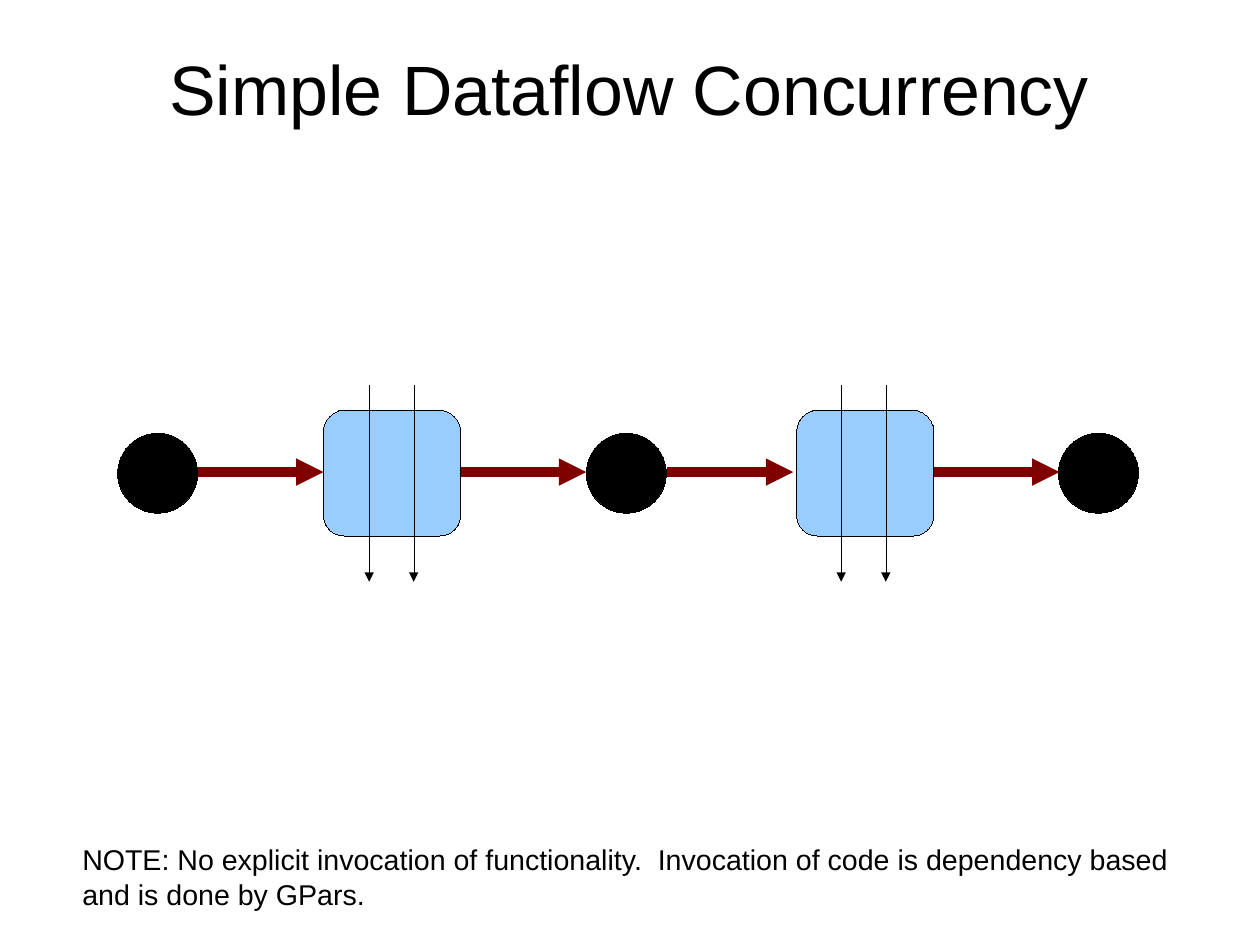
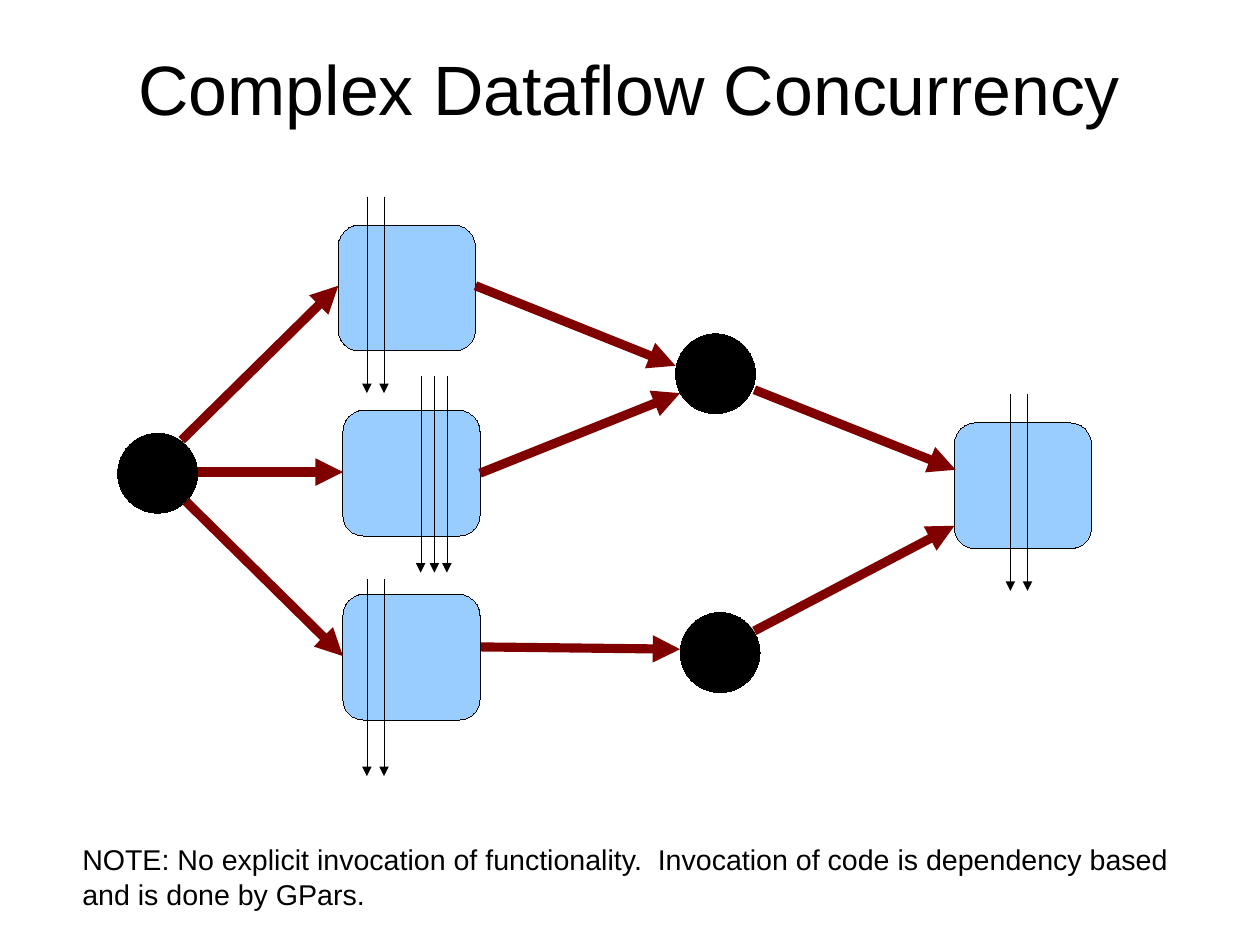
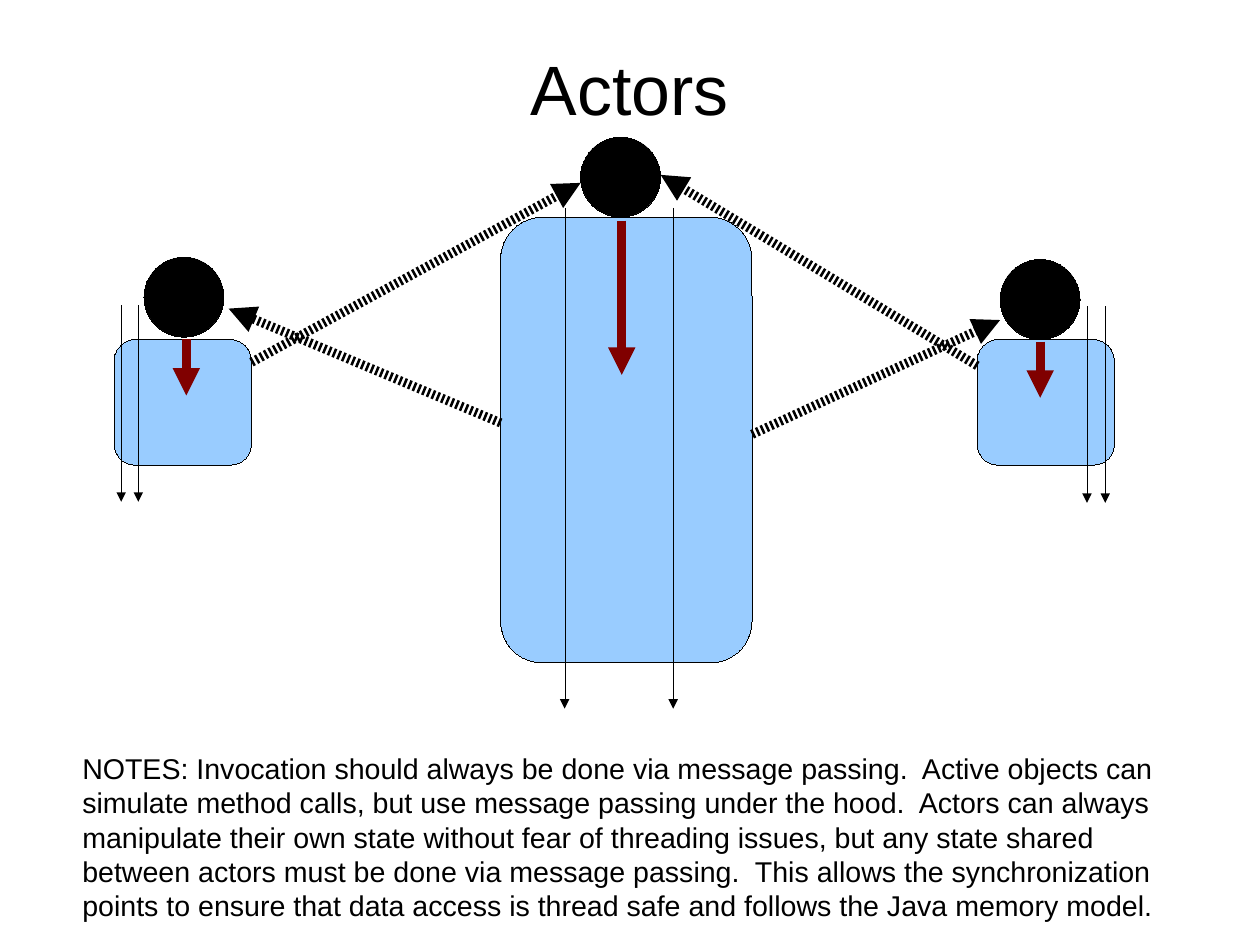
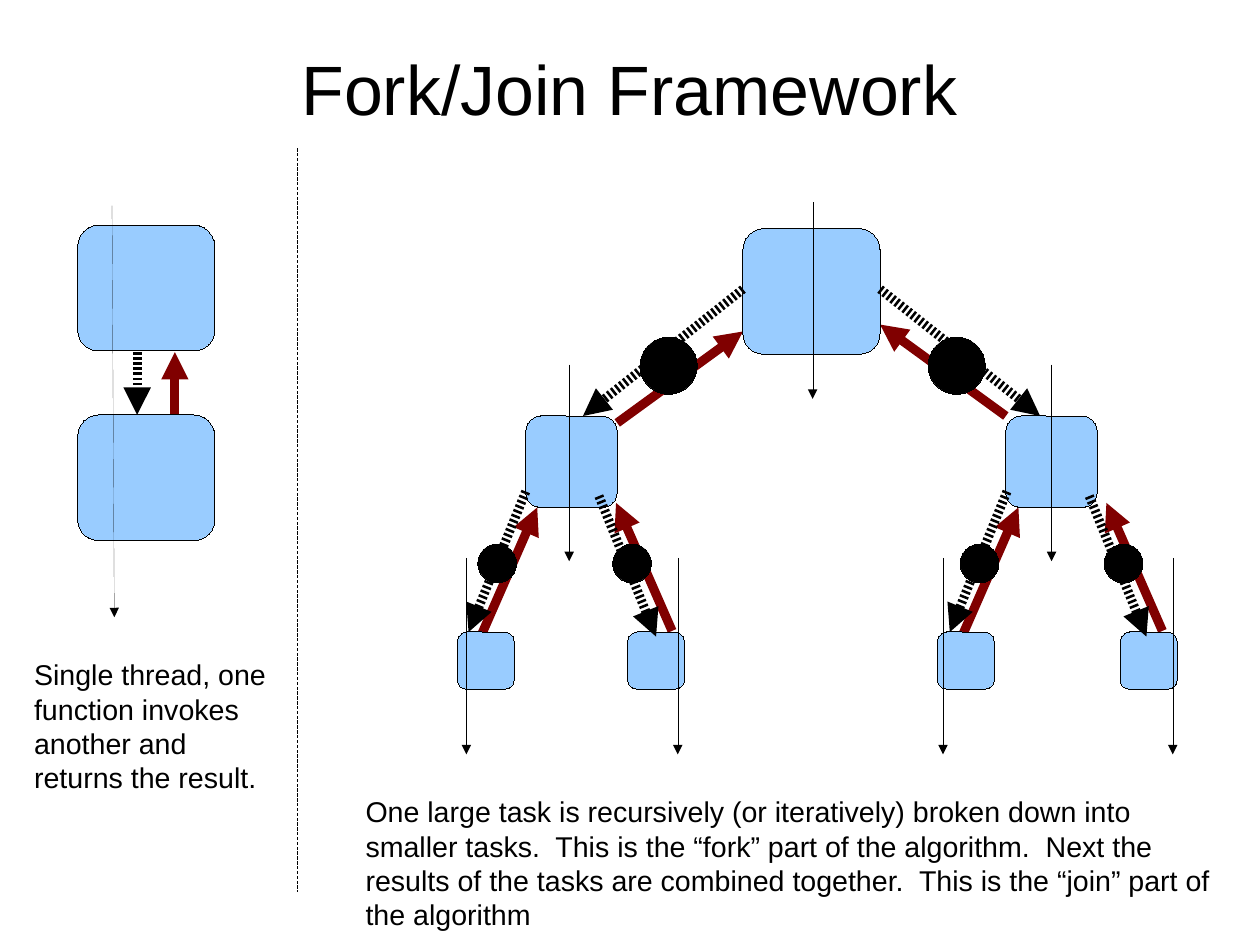
from lxml.etree import SubElement
from pptx import Presentation
from pptx.dml.color import RGBColor
from pptx.enum.shapes import MSO_CONNECTOR, MSO_SHAPE
from pptx.enum.text import MSO_ANCHOR, PP_ALIGN
from pptx.oxml.ns import qn
from pptx.util import Cm, Inches, Pt

COLORS = {"ink": "000000", "task": "99CCFF", "flow": "800000"}
FONT = "Arial"
TASK_SIZE = (1.2, 1.1)
DATA_SIZE = 0.7
THREAD_LENGTH = 1.72
HAIRLINE = 0
FLOW_WIDTH = 5.75
FLOW_DASH = 28
DIVIDER_DASH = 200
DATAFLOW_NOTE = (
    "NOTE: No explicit invocation of functionality.  Invocation of code is "
    "dependency based and is done by GPars."
)
ACTORS_NOTE = (
    "NOTES: Invocation should always be done via message passing.  Active objects can "
    "simulate method calls, but use message passing under the hood.  Actors can always "
    "manipulate their own state without fear of threading issues, but any state shared "
    "between actors must be done via message passing.  This allows the synchronization "
    "points to ensure that data access is thread safe and follows the Java memory model."
)
SINGLE_NOTE = "Single thread, one function invokes another and returns the result."
FORK_NOTE = (
    "One large task is recursively (or iteratively) broken down into smaller tasks.  "
    "This is the “fork” part of the algorithm.  Next the results of the tasks are "
    "combined together.  This is the “join” part of the algorithm"
)


def color(name):
    """Return the named palette colour."""
    return RGBColor.from_string(COLORS[name])


def place(shape, left, top, width, height):
    """Set a shape's position and size in inches."""
    shape.left, shape.top = Inches(left), Inches(top)
    shape.width, shape.height = Inches(width), Inches(height)


def write(frame, text, size, margins, align=PP_ALIGN.LEFT, anchor=MSO_ANCHOR.TOP):
    """Fill a text frame with one formatted run."""
    frame.word_wrap = True
    frame.vertical_anchor = anchor
    frame.margin_left = frame.margin_right = Inches(margins[0])
    frame.margin_top = frame.margin_bottom = Inches(margins[1])
    para = frame.paragraphs[0]
    para.alignment = align
    span = para.add_run()
    span.text = text
    span.font.name = FONT
    span.font.size = Pt(size)
    span.font.color.rgb = color("ink")


def add_page(deck, title):
    """Add a titled page."""
    page = deck.slides.add_slide(deck.slide_layouts[5])
    place(page.shapes.title, 0.55, 0.33, 9.92, 0.87)
    write(page.shapes.title.text_frame, title, 44, (0, 0),
          PP_ALIGN.CENTER, MSO_ANCHOR.MIDDLE)
    return page


def add_note(page, text, area, margins=(0.12, 0.07)):
    """Add a block of explanatory text."""
    box = page.shapes.add_textbox(*map(Inches, area))
    write(box.text_frame, text, 18, margins)


def set_outline(shape, name, width):
    """Colour a shape's line, write its width even when zero, and return it."""
    shape.line.color.rgb = color(name)
    outline = shape.element.spPr.get_or_add_ln()
    outline.set("w", str(Pt(width)))
    return outline


def add_shape(page, preset, area, fill):
    """Add a filled shape with a hairline outline."""
    shape = page.shapes.add_shape(preset, *map(Inches, area))
    shape.shadow.inherit = False
    shape.fill.solid()
    shape.fill.fore_color.rgb = color(fill)
    set_outline(shape, "ink", HAIRLINE)


def add_task(page, left, top, width=TASK_SIZE[0], height=TASK_SIZE[1]):
    """Add a rounded task box."""
    add_shape(page, MSO_SHAPE.ROUNDED_RECTANGLE, (left, top, width, height), "task")


def add_data(page, left, top, size=DATA_SIZE):
    """Add a black data circle."""
    add_shape(page, MSO_SHAPE.OVAL, (left, top, size, size), "ink")


def add_line(page, start, end, name, width, dash=None, arrow=True):
    """Add a straight line with an optional dash and arrowhead."""
    line = page.shapes.add_connector(MSO_CONNECTOR.STRAIGHT,
                                     *map(Inches, (*start, *end)))
    outline = set_outline(line, name, width)
    if dash:
        pattern = SubElement(outline, qn("a:custDash"))
        length = str(dash * 1000)
        SubElement(pattern, qn("a:ds"), d=length, sp=length)
    if arrow:
        SubElement(outline, qn("a:tailEnd"), type="triangle")
    SubElement(line.element.spPr, qn("a:effectLst"))


def add_flow(page, start, end):
    """Add a solid red arrow."""
    add_line(page, start, end, "flow", FLOW_WIDTH)


def add_message(page, start, end):
    """Add a dashed black arrow."""
    add_line(page, start, end, "ink", FLOW_WIDTH, FLOW_DASH)


def add_threads(page, top, lefts, length=THREAD_LENGTH):
    """Add thin downward arrows that start at one height."""
    for left in lefts:
        add_line(page, (left, top), (left, top + length), "ink", HAIRLINE)


def simple_dataflow(deck):
    """Build the simple dataflow page."""
    page = add_page(deck, "Simple Dataflow Concurrency")
    for left in (2.83, 6.97):
        add_task(page, left, 3.59)
    for left in (1.73, 4.03, 5.84, 8.17):
        add_flow(page, (left, 4.13), (left + 1.1, 4.13))
    for left in (1.03, 5.13, 9.26):
        add_data(page, left, 3.79)
    add_threads(page, 3.37, (3.23, 3.62, 7.36, 7.75))
    add_note(page, DATAFLOW_NOTE, (0.6, 7.3, 10, 0.7))


def complex_dataflow(deck):
    """Build the complex dataflow page."""
    page = add_page(deck, "Complex Dataflow Concurrency")
    for left, top in ((2.96, 1.97), (3, 3.59), (3, 5.2), (8.35, 3.7)):
        add_task(page, left, top)
    for left, top in ((1.03, 3.79), (5.91, 2.92), (5.95, 5.36)):
        add_data(page, left, top)
    for start, end in (
        ((1.59, 3.85), (2.96, 2.5)),
        ((1.73, 4.13), (3, 4.13)),
        ((1.63, 4.39), (3, 5.74)),
        ((4.16, 2.5), (5.91, 3.2)),
        ((4.2, 4.14), (5.95, 3.44)),
        ((4.21, 5.66), (5.95, 5.68)),
        ((6.6, 3.41), (8.36, 4.11)),
        ((6.6, 5.52), (8.35, 4.6)),
    ):
        add_flow(page, start, end)
    for top, lefts in (
        (1.72, (3.21, 3.36)),
        (3.29, (3.68, 3.8, 3.91)),
        (5.07, (3.21, 3.36)),
        (3.45, (8.84, 8.99)),
    ):
        add_threads(page, top, lefts)
    add_note(page, DATAFLOW_NOTE, (0.6, 7.3, 10, 0.7))


def actors(deck):
    """Build the actors page."""
    page = add_page(deck, "Actors")
    add_task(page, 4.38, 1.9, 2.2, 3.9)
    for left in (1, 8.55):
        add_task(page, left, 2.97)
    for left, top in ((1.26, 2.25), (5.08, 1.2), (8.75, 2.27)):
        add_data(page, left, top)
    for left, top, length in ((1.63, 2.97, 0.49), (5.44, 1.93, 1.35), (9.1, 2.99, 0.49)):
        add_flow(page, (left, top), (left, top + length))
    for start, end in (
        ((4.38, 3.7), (2, 2.7)),
        ((2.2, 3.17), (5.08, 1.6)),
        ((6.58, 3.8), (8.75, 2.8)),
        ((8.55, 3.2), (5.78, 1.53)),
    ):
        add_message(page, start, end)
    add_threads(page, 2.67, (1.06, 1.21))
    add_threads(page, 2.68, (9.51, 9.67))
    add_threads(page, 1.82, (4.94, 5.89), 4.38)
    add_note(page, ACTORS_NOTE, (0.6, 6.5, 10, 1.54))


def single_thread(page):
    """Draw the single-thread call beside the divider."""
    for top in (1.97, 3.63):
        add_task(page, 0.68, top)
    add_line(page, (0.98, 1.8), (1, 5.4), "ink", HAIRLINE)
    add_message(page, (1.2, 3.08), (1.2, 3.63))
    add_flow(page, (1.53, 3.62), (1.53, 3.08))
    add_line(page, (2.6, 1.3), (2.6, 7.8), "ink", HAIRLINE, DIVIDER_DASH, arrow=False)
    add_note(page, SINGLE_NOTE, (0.2, 5.7, 2.3, 1.22), (0.1, 0.05))


def fork_tree(page):
    """Draw the task tree with its forks and joins."""
    for left, top, run, rise in (
        (10.17, 5.52, -0.49, 1.12),
        (5.88, 5.52, -0.49, 1.12),
        (8.42, 5.56, 0.49, 1.12),
        (4.21, 5.56, 0.49, 1.12),
        (5.4, 3.7, 1.1, 0.8),
        (8.8, 3.64, -1.1, 0.8),
    ):
        add_flow(page, (left, top), (left + run, top - rise))
    add_task(page, 6.5, 2)
    for size, top, lefts in ((0.8, 3.64, (4.6, 8.8)), (0.5, 5.53, (4, 5.49, 8.2, 9.8))):
        for left in lefts:
            add_task(page, left, top, size, size)
    for size, top, lefts in ((0.5, 2.95, (5.6, 8.12)),
                             (0.34, 4.76, (4.18, 5.36, 8.4, 9.66))):
        for left in lefts:
            add_data(page, left, top, size)
    for left, top, run, drop in (
        (6.5, 2.53, -1.4, 1.11),
        (7.7, 2.53, 1.4, 1.11),
        (4.6, 4.3, -0.5, 1.23),
        (8.81, 4.3, -0.5, 1.23),
        (5.24, 4.34, 0.5, 1.23),
        (9.53, 4.34, 0.5, 1.23),
    ):
        add_message(page, (left, top), (left + run, top + drop))
    for top, lefts in (
        (1.77, (7.11,)),
        (3.19, (4.98, 9.2)),
        (4.88, (4.08, 5.93, 8.25, 10.26)),
    ):
        add_threads(page, top, lefts)
    add_note(page, FORK_NOTE, (3.1, 6.9, 7.6, 1.22), (0.1, 0.05))


def fork_join(deck):
    """Build the fork/join page."""
    page = add_page(deck, "Fork/Join Framework")
    single_thread(page)
    fork_tree(page)


def main():
    """Build and save the deck."""
    deck = Presentation()
    deck.slide_width, deck.slide_height = Cm(28), Cm(21)
    for build in (simple_dataflow, complex_dataflow, actors, fork_join):
        build(deck)
    deck.save("out.pptx")


if __name__ == "__main__":
    main()
